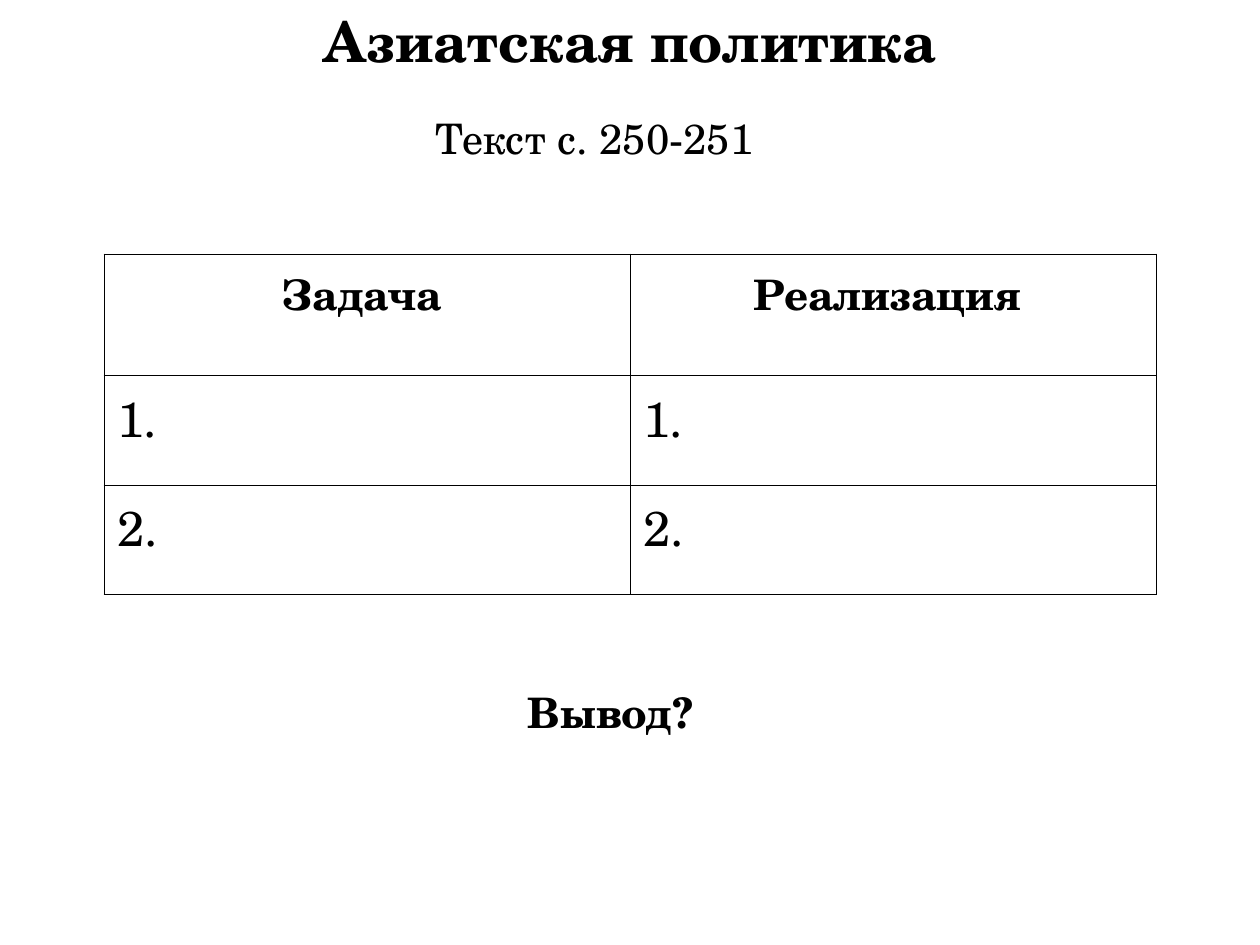
from lxml import etree
from pptx import Presentation
from pptx.dml.color import RGBColor
from pptx.enum import text
from pptx.oxml.ns import qn
from pptx.util import Inches, Pt

FONT = "TeX Gyre Schola"
BLACK = RGBColor(0, 0, 0)
OUTER, INNER = Pt(1.08), Pt(0.45)
HEADINGS = ["Задача ", "Реализация "]
POINTS = ["1.", "2."]


def write(frame, words, size, bold, space, align):
    """Fill a text frame with one formatted paragraph."""
    frame.word_wrap = True
    paragraph = frame.paragraphs[0]
    paragraph.alignment = align
    paragraph.space_before = Pt(space)
    run = paragraph.add_run()
    run.text = words
    run.font.name = FONT
    run.font.size = Pt(size)
    run.font.bold = bold
    run.font.color.rgb = BLACK


def add_line_of_text(slide, words, place, size, bold, space):
    box = slide.shapes.add_textbox(*(Inches(n) for n in place))
    write(box.text_frame, words, size, bold, space, text.PP_ALIGN.CENTER)
    box.text_frame.auto_size = text.MSO_AUTO_SIZE.SHAPE_TO_FIT_TEXT


def set_borders(cell, widths):
    """Draw the left, right, top and bottom border of a cell."""
    properties = cell._tc.get_or_add_tcPr()
    for position, (side, width) in enumerate(zip("LRTB", widths)):
        line = etree.Element(qn(f"a:ln{side}"), w=str(int(width)))
        fill = etree.SubElement(line, qn("a:solidFill"))
        etree.SubElement(fill, qn("a:srgbClr"), val=str(BLACK))
        properties.insert(position, line)


def add_task_table(slide):
    rows = [HEADINGS] + [[point] * len(HEADINGS) for point in POINTS]
    last_row, last_column = len(rows) - 1, len(HEADINGS) - 1
    tasks = slide.shapes.add_table(
        len(rows), len(HEADINGS),
        Inches(0.83), Inches(2.02), Inches(8.35), Inches(2.7)).table
    tasks.first_row = tasks.horz_banding = False

    for r, words in enumerate(rows):
        tasks.rows[r].height = Inches(0.87 if r else 0.96)
        for c, word in enumerate(words):
            cell = tasks.cell(r, c)
            cell.fill.background()
            edges = (c == 0, c == last_column, r == 0, r == last_row)
            set_borders(cell, [OUTER if edge else INNER for edge in edges])
            if r == 0:
                write(cell.text_frame, word, 24, True, 6, text.PP_ALIGN.CENTER)
            else:
                write(cell.text_frame, word, 28, False, 7, text.PP_ALIGN.LEFT)


def main():
    deck = Presentation()
    deck.slide_width, deck.slide_height = Inches(10), Inches(7.5)
    slide = deck.slides.add_slide(deck.slide_layouts[6])

    # Title
    add_line_of_text(slide, "Азиатская политика", (0.83, 0, 8.35, 0.64), 32, True, 20)
    # Tasks and how they were carried out
    add_task_table(slide)
    # Reading reference and closing question
    add_line_of_text(slide, "Текст с. 250-251", (2.24, 0.84, 4.96, 0.5), 24, False, 15)
    add_line_of_text(slide, "Вывод?", (2.72, 5.4, 4.25, 0.5), 24, True, 15)

    deck.save("out.pptx")


if __name__ == "__main__":
    main()
